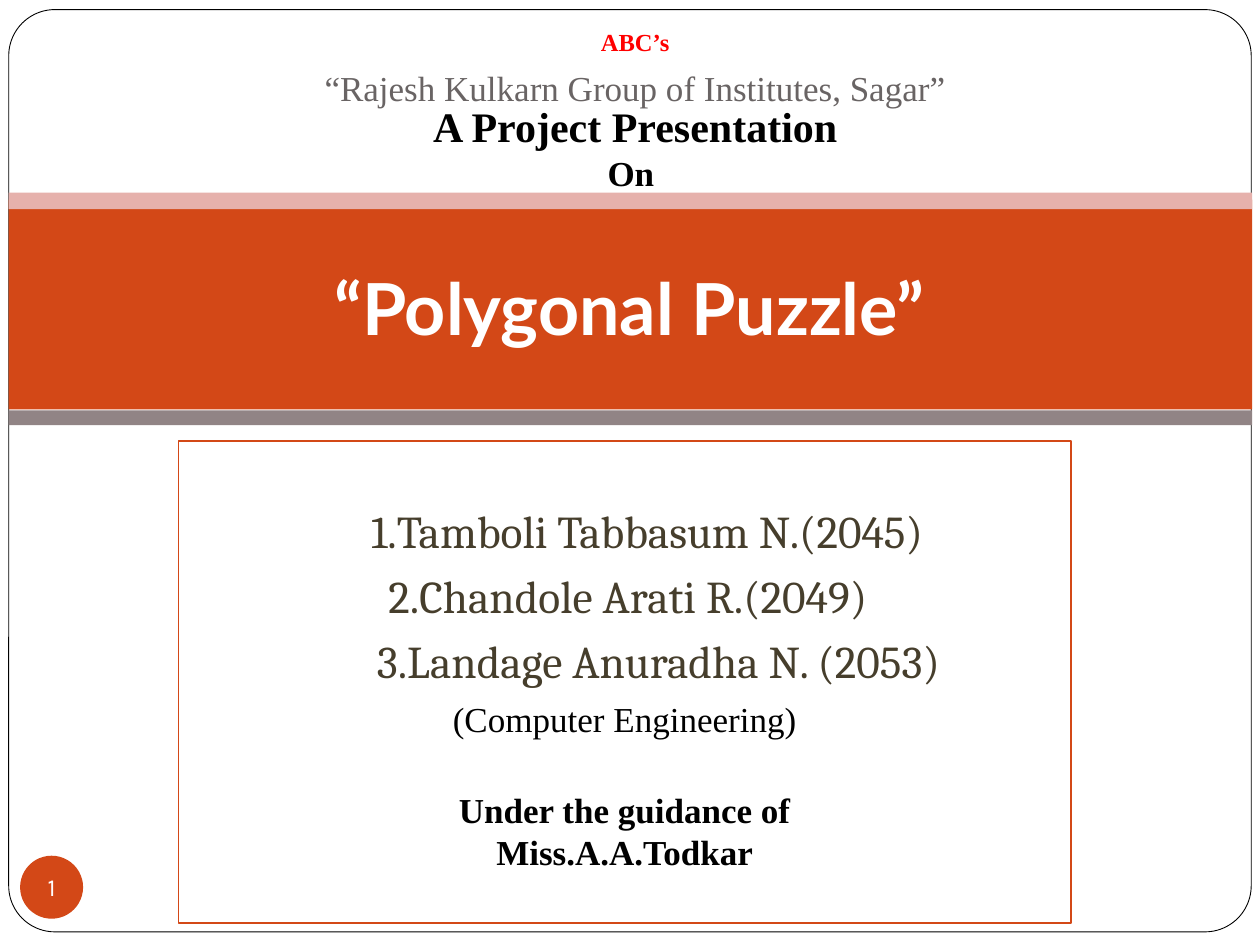
"""Builds the opening slide of a project presentation."""
from dataclasses import dataclass

from pptx import Presentation
from pptx import util as u
from pptx.dml.color import RGBColor
from pptx.enum import shapes, text

Pt = u.Pt
SHAPE = shapes.MSO_SHAPE
ANCHOR = text.MSO_ANCHOR


@dataclass(frozen=True)
class Theme:
    """Colours, fonts and type sizes of the slide."""
    white: str = "FFFFFF"
    black: str = "000000"
    accent: str = "D34817"
    pink: str = "E6B1AC"
    mauve: str = "918485"
    red: str = "FF0000"
    grey: str = "696464"
    brown: str = "463E2C"
    serif: str = "Times New Roman"
    names: str = "Cambria"
    heading: str = "Lato"
    number: str = "Karla"
    title: int = 41
    large: int = 26
    lead: int = 24
    body: int = 20
    small: int = 14


@dataclass(frozen=True)
class Line:
    """One paragraph with its type and spacing."""
    words: str
    size: int
    color: str
    font: str = Theme.serif
    bold: bool = False
    before: float = 0
    left: float = 0
    right: float = 0


class SlideBuilder:
    """Holds the theme and the current slide."""

    def __init__(self, prs, theme):
        """Adds a title-only slide."""
        self.theme = theme
        self.s = prs.slides.add_slide(prs.slide_layouts[5])

    def shape(self, kind, box, fill=None, line=None, width=0.75):
        """Adds a preset shape."""
        sp = self.s.shapes.add_shape(kind, *map(Pt, box))
        sp.shadow.inherit = False
        if fill:
            sp.fill.solid()
            sp.fill.fore_color.rgb = RGBColor.from_string(fill)
        else:
            sp.fill.background()
        if line:
            sp.line.color.rgb = RGBColor.from_string(line)
            sp.line.width = Pt(width)
        else:
            sp.line.fill.background()
        return sp

    def textbox(self, box, lines):
        """Adds a text box."""
        self.paragraphs(self.s.shapes.add_textbox(*map(Pt, box)), lines)

    def title(self, box, line):
        """Places the title above the shapes drawn so far."""
        sp = self.s.shapes.title
        sp.left, sp.top, sp.width, sp.height = map(Pt, box)
        self.s.shapes._spTree.append(sp._element)
        self.paragraphs(sp, [line], ANCHOR.MIDDLE, (7.2, 3.6, 7.2, 7.2))

    def paragraphs(self, sp, lines, anchor=ANCHOR.TOP, insets=(7.2, 3.6, 7.2, 3.6), wrap=True):
        """Fills a shape with centred paragraphs."""
        tf = sp.text_frame
        tf.auto_size = text.MSO_AUTO_SIZE.NONE
        tf.word_wrap = wrap
        tf.vertical_anchor = anchor
        tf.margin_left, tf.margin_top, tf.margin_right, tf.margin_bottom = map(Pt, insets)
        for i, line in enumerate(lines):
            p = tf.add_paragraph() if i else tf.paragraphs[0]
            p.text = line.words
            p.alignment = text.PP_ALIGN.CENTER
            p.space_before = Pt(line.before)
            p.font.size = Pt(line.size)
            p.font.name = line.font
            p.font.bold = line.bold
            p.font.color.rgb = RGBColor.from_string(line.color)
            pPr = p._p.get_or_add_pPr()
            for name, indent in (("marL", line.left), ("marR", line.right)):
                if indent:
                    pPr.set(name, str(Pt(indent)))


def main():
    """Draws the slide and saves it."""
    t = Theme()
    prs = Presentation()
    prs.slide_width, prs.slide_height = Pt(720), Pt(540)
    b = SlideBuilder(prs, t)

    frame = b.shape(SHAPE.ROUNDED_RECTANGLE, (5, 5.5, 710, 527), t.white, t.black, 0.5)
    frame.adjustments[0] = 0.05
    for top, height, color in ((114, 120, t.accent), (110, 9.5, t.pink), (234.5, 8.5, t.mauve)):
        b.shape(SHAPE.RECTANGLE, (5, top, 710.5, height), color)

    gap = 5.8
    students = (
        ("1.Tamboli Tabbasum N.(2045)", 0, 26),
        ("2.Chandole Arati R.(2049)", gap, 4),
        ("3.Landage Anuradha N. (2053)", gap, 39),
    )
    team = [Line(words, t.large, t.brown, t.names, before=before, left=left)
            for words, before, left in students]
    team += [
        Line("(Computer Engineering)", t.body, t.black, before=gap),
        Line("Under the guidance of", t.body, t.black, bold=True, before=28),
        Line("Miss.A.A.Todkar", t.body, t.black, bold=True),
    ]
    panel = b.shape(SHAPE.RECTANGLE, (102, 252, 510, 275.5), line=t.accent)
    b.paragraphs(panel, team, insets=(7.2, 35.5, 7.2, 3.6))

    b.title((0, 120, 720, 114),
            Line("“Polygonal Puzzle”", t.title, t.white, t.heading, True))
    b.textbox((96, 12, 534, 54), [
        Line("ABC’s", t.small, t.red, bold=True),
        Line("“Rajesh Kulkarn Group of Institutes, Sagar”", t.body, t.grey, before=gap),
    ])
    b.textbox((207, 54, 312, 90), [
        Line("A Project Presentation", t.lead, t.black, bold=True),
        Line("On", t.body, t.black, bold=True, right=5),
    ])

    badge = b.shape(SHAPE.OVAL, (11.5, 489, 36, 36), t.accent)
    b.paragraphs(badge, [Line("1", t.small, t.white, t.number)], ANCHOR.MIDDLE, (0, 0, 0, 0), False)
    prs.save("out.pptx")


main()
